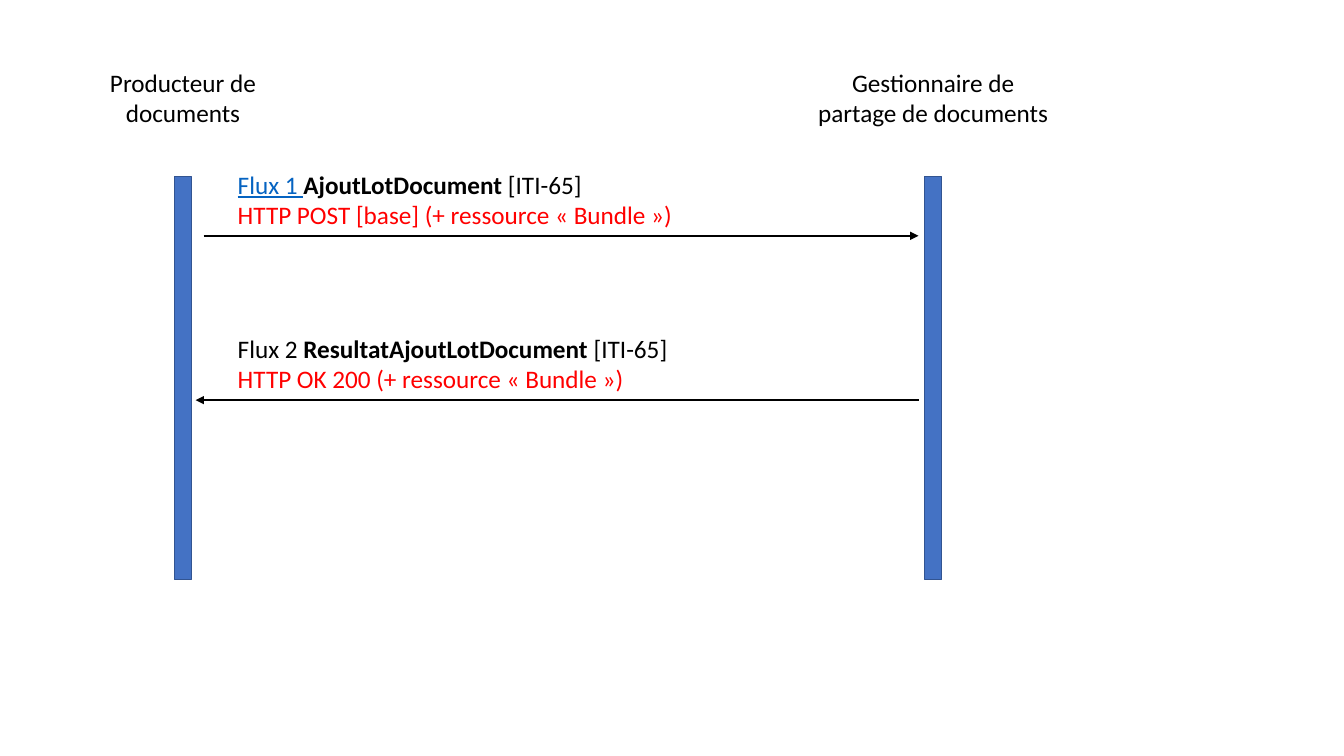
from pptx import Presentation
from pptx.dml.color import RGBColor
from pptx.enum.shapes import MSO_CONNECTOR as Conn, MSO_SHAPE as Shape
from pptx.enum.text import MSO_AUTO_SIZE as Fit, PP_ALIGN as Align
from pptx.oxml.ns import qn
from pptx.util import Emu, Pt
from lxml.etree import SubElement as Sub

BLACK = RGBColor(0x00, 0x00, 0x00)
RED = RGBColor(0xFF, 0x00, 0x00)
LINK = RGBColor(0x05, 0x63, 0xC1)
BLUE = RGBColor(0x44, 0x72, 0xC4)
NAVY = RGBColor(0x32, 0x54, 0x91)

PLAIN = {"color": BLACK}
BOLD = {"color": BLACK, "bold": True}
NOTE = {"color": RED}
UNDER = {"color": LINK, "underline": True}

# bar left, label width, label text
ACTORS = [
    (173, 229, "Producteur de documents"),
    (917, 259, "Gestionnaire de partage de documents"),
]
# arrow start, arrow end, arrow height, text width, lines of runs
FLOWS = [
    (202, 911, 234, 456, [
        [("Flux 1 ", UNDER), ("AjoutLotDocument", BOLD), (" [ITI-65]", PLAIN)],
        [("HTTP POST [base] (+ ressource « Bundle »)", NOTE)],
    ]),
    (911, 194, 397, 450, [
        [("Flux 2 ", PLAIN), ("ResultatAjoutLotDocument", BOLD), (" [ITI-65]", PLAIN)],
        [("HTTP OK 200 (+ ressource « Bundle »)", NOTE)],
    ]),
]
BAR_TOP, BAR_W, BAR_H = 175, 17, 400
LABEL_TOP, FLOW_LEFT, TEXT_H = 62, 226, 71


def px(*vals):
    return [Emu(val * 9144) for val in vals]


def write(slide, box, lines, align, wrap):
    frame = slide.shapes.add_textbox(*px(*box)).text_frame
    frame.word_wrap = wrap
    frame.auto_size = Fit.SHAPE_TO_FIT_TEXT
    for num, line in enumerate(lines):
        para = frame.add_paragraph() if num else frame.paragraphs[0]
        para.alignment = align
        for text, style in line:
            run = para.add_run()
            run.text = text
            form = {"name": "Calibri", "size": Pt(18), **style}
            run.font.color.rgb = form.pop("color")
            for key, val in form.items():
                setattr(run.font, key, val)


def draw_bar(slide, left):
    bar = slide.shapes.add_shape(Shape.RECTANGLE, *px(left, BAR_TOP, BAR_W, BAR_H))
    bar.shadow.inherit = False
    bar.fill.solid()
    bar.fill.fore_color.rgb = BLUE
    bar.line.color.rgb = NAVY
    bar.line.width = Pt(1)


def draw_arrow(slide, start, end, top):
    arrow = slide.shapes.add_connector(Conn.STRAIGHT, *px(start, top, end, top))
    arrow.line.color.rgb = BLACK
    arrow.line.width = Pt(1)
    props = arrow.line._get_or_add_ln()
    Sub(props, qn("a:tailEnd"), type="triangle")
    Sub(props.getparent(), qn("a:effectLst"))


def main():
    deck = Presentation()
    deck.slide_width, deck.slide_height = px(1333, 750)
    slide = deck.slides.add_slide(deck.slide_layouts[6])
    for left, width, name in ACTORS:
        draw_bar(slide, left)
        box = (left + BAR_W // 2 - width // 2, LABEL_TOP, width, TEXT_H)
        write(slide, box, [[(name, PLAIN)]], Align.CENTER, True)
    for start, end, top, width, lines in FLOWS:
        draw_arrow(slide, start, end, top)
        box = (FLOW_LEFT, top - TEXT_H, width, TEXT_H)
        write(slide, box, lines, Align.LEFT, False)
    deck.save("out.pptx")


if __name__ == "__main__":
    main()
